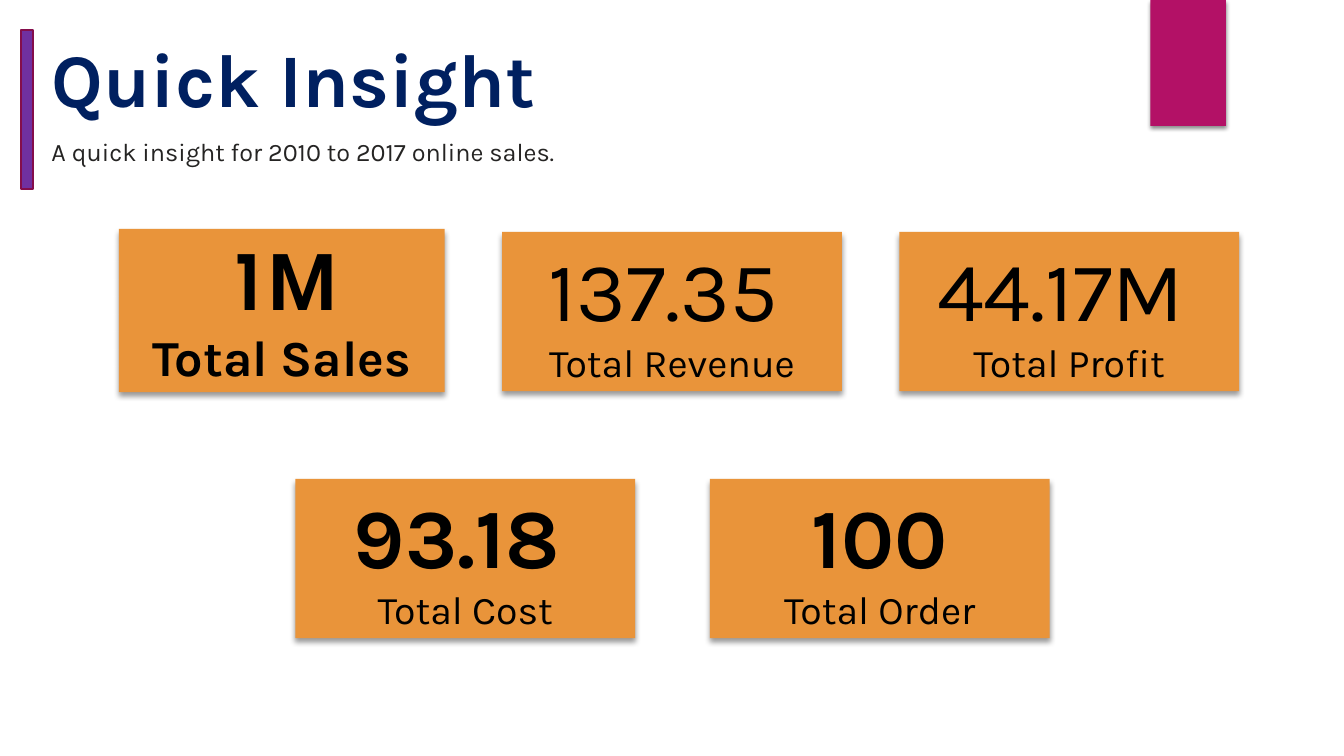
from lxml import etree
from pptx import Presentation
from pptx import util as u
from pptx.dml.color import RGBColor
from pptx.enum import shapes, text
from pptx.oxml import ns

PX = 9144  # 100 px to the inch
NAVY = RGBColor(0x00, 0x20, 0x60)
CHARCOAL = RGBColor(0x25, 0x24, 0x23)
BLACK = RGBColor(0x00, 0x00, 0x00)
ORANGE = RGBColor(0xE9, 0x94, 0x3A)
MAGENTA = RGBColor(0xB3, 0x11, 0x66)
PLUM = RGBColor(0x84, 0x0D, 0x4B)
PURPLE = RGBColor(0x70, 0x30, 0xA0)
KARLA = "Karla"
ADVENTOR = "TeX Gyre Adventor"


def px(*lengths):
    return [u.Emu(length * PX) for length in lengths]


def style_run(run, size, color, font=KARLA, bold=False):
    run.font.size = u.Pt(size)
    run.font.name = font
    run.font.bold = bold
    run.font.color.rgb = color


def clear_insets(frame):
    frame.margin_left = frame.margin_right = frame.margin_top = frame.margin_bottom = 0
    frame.word_wrap = True
    frame.vertical_anchor = text.MSO_ANCHOR.MIDDLE


def add_shadow(shape, opacity, blur, distance):
    effects = shape._element.spPr.find(ns.qn("a:effectLst"))
    shadow = etree.SubElement(
        effects, ns.qn("a:outerShdw"), blurRad=str(u.Pt(blur)),
        dist=str(u.Pt(distance)), dir="5400000", algn="ctr", rotWithShape="0")
    color = etree.SubElement(shadow, ns.qn("a:srgbClr"), val="000000")
    etree.SubElement(color, ns.qn("a:alpha"), val=str(opacity * 1000))


def add_filled(slide, preset, box, color):
    shape = slide.shapes.add_shape(preset, *px(*box))
    shape.shadow.inherit = False
    shape.fill.solid()
    shape.fill.fore_color.rgb = color
    shape.line.fill.background()
    return shape


def add_ribbon(slide, box):
    ribbon = add_filled(slide, shapes.MSO_SHAPE.RECTANGLE, box, MAGENTA)
    add_shadow(ribbon, 45, 3, 2)


def add_heading(slide, box):
    left, top, width, height = box

    # Title
    title = slide.shapes.title
    title.left, title.top, title.width, title.height = px(left, top, 1089, 91)
    title.text_frame.text = "Quick Insight"
    clear_insets(title.text_frame)
    paragraph = title.text_frame.paragraphs[0]
    paragraph.alignment = text.PP_ALIGN.LEFT
    style_run(paragraph.runs[0], 54, NAVY, bold=True)

    # Upright accent bar, drawn as a minus sign on its side
    bar_length, bar_depth = 215, 51
    center_x, center_y = left - 25, top + 77
    bar = add_filled(
        slide, shapes.MSO_SHAPE.MATH_MINUS,
        (center_x - bar_length // 2, center_y - bar_depth // 2, bar_length, bar_depth), PURPLE)
    bar.rotation = 90
    bar.line.color.rgb = PLUM
    bar.line.width = u.Pt(1.5)

    # Subtitle
    subtitle = slide.shapes.add_textbox(*px(left, top + height - 91, width, 91))
    subtitle.text_frame.text = "A quick insight for 2010 to 2017 online sales."
    clear_insets(subtitle.text_frame)
    style_run(subtitle.text_frame.paragraphs[0].runs[0], 18, CHARCOAL)


def add_card(slide, box, value, label, value_size=60, value_font=KARLA,
             value_bold=False, label_size=28, label_bold=False, trailing=True):
    card = add_filled(slide, shapes.MSO_SHAPE.RECTANGLE, box, ORANGE)
    add_shadow(card, 40, 4, 3)
    frame = card.text_frame
    frame.word_wrap = True
    frame.vertical_anchor = text.MSO_ANCHOR.MIDDLE
    frame.text = f"{value}\n{label}"
    value_line, label_line = frame.paragraphs
    for paragraph in frame.paragraphs:
        paragraph.alignment = text.PP_ALIGN.CENTER
    style_run(value_line.runs[0], value_size, BLACK, value_font, value_bold)
    style_run(label_line.runs[0], label_size, BLACK, bold=label_bold)
    if trailing:
        space = value_line.add_run()
        space.text = " "
        style_run(space, 44, BLACK, ADVENTOR)


def add_cards(slide, box):
    left, top, width, height = box
    card_width, card_height = 337, 158
    right_column = left + width - card_width
    bottom_row = top + height - card_height

    # Upper row
    add_card(slide, (left, top, 323, 162), "1M", "Total Sales", value_size=54,
             value_font=ADVENTOR, value_bold=True, label_size=36,
             label_bold=True, trailing=False)
    add_card(slide, (right_column - 394, top + 3, card_width, card_height),
             "137.35", "Total Revenue")
    add_card(slide, (right_column, top + 3, card_width, card_height),
             "44.17M", "Total Profit")

    # Lower row
    add_card(slide, (left + 175, bottom_row, card_width, card_height),
             "93.18", "Total Cost", value_bold=True)
    add_card(slide, (left + 586, bottom_row, card_width, card_height),
             "100", "Total Order", value_bold=True, trailing=False)


def main():
    presentation = Presentation()
    presentation.slide_width, presentation.slide_height = px(1333, 750)
    slide = presentation.slides.add_slide(presentation.slide_layouts[5])
    add_ribbon(slide, (1141, 0, 75, 125))
    add_heading(slide, (51, 31, 1224, 165))
    add_cards(slide, (118, 227, 1111, 406))
    presentation.save("out.pptx")


if __name__ == "__main__":
    main()
